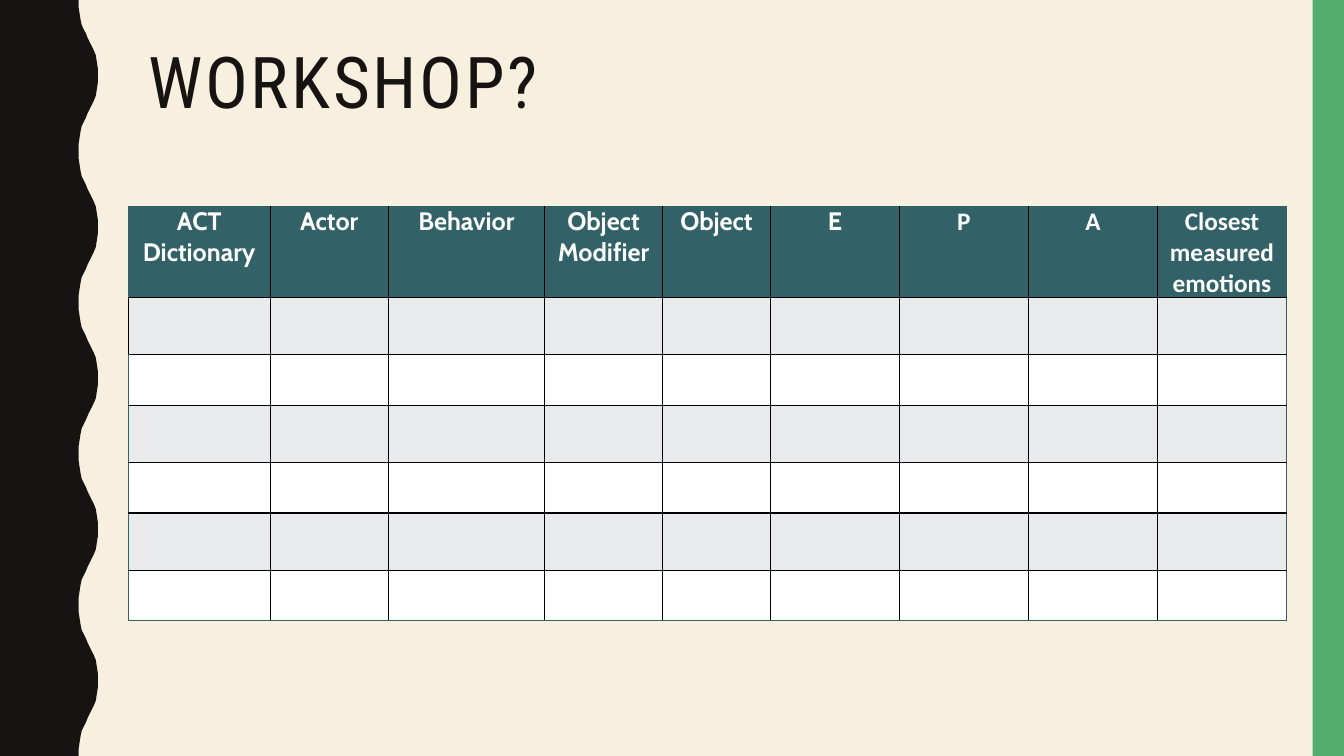
from lxml import etree
from pptx import Presentation
from pptx.dml.color import RGBColor
from pptx.enum.shapes import MSO_SHAPE
from pptx.enum.text import MSO_ANCHOR, PP_ALIGN
from pptx.oxml.ns import qn
from pptx.util import Inches, Pt

RECT = MSO_SHAPE.RECTANGLE
TOP = MSO_ANCHOR.TOP
LEFT, CENTER = PP_ALIGN.LEFT, PP_ALIGN.CENTER

INK, CREAM, GREEN = "171312", "F7F0DF", "53AE6E"
TEAL, GRAY, WHITE, BLACK = "326267", "E8EAEB", "FFFFFF", "000000"

HEADS = ["ACT Dictionary", "Actor", "Behavior", "Object Modifier", "Object",
         "E", "P", "A", "Closest measured emotions"]
FONTS = ["Cabin"] * 6 + ["Calibri"] * 3
COLS = [10.58, 8.78, 11.63, 8.78, 8.03] + [9.6] * 4
ROWS = [11.33] + [7.6, 6.67] * 3

WAVE_X = [5.85, 5.85, 5.93, 6, 6.08, 6.23, 6.38, 6.53,
          6.68, 6.83, 6.98, 7.13, 7.2, 7.28, 7.28]
WAVE_Y = [0, 0.93, 1.87, 2.67, 3.33, 3.87, 4.4, 5.07,
          5.6, 6.13, 6.67, 7.33, 8.13, 9.07, 10]


def color(code):
    return RGBColor.from_string(code)


def paint(fill, code):
    fill.solid()
    fill.fore_color.rgb = color(code)


def write(frame, text, font="Cabin", size=18, ink=INK, bold=False,
          align=LEFT, lead=1.0, track=0):
    par = frame.paragraphs[0]
    par.alignment = align
    par.line_spacing = lead
    run = par.add_run()
    run.text = text
    run.font.name = font
    run.font.size = Pt(size)
    run.font.bold = bold
    run.font.color.rgb = color(ink)
    if track:
        run.font._element.set("spc", str(track * 100))


def edge(cell, codes):
    props = cell._tc.get_or_add_tcPr()
    for spot, (side, code) in enumerate(zip("LRTB", codes)):
        line = etree.Element(qn("a:ln" + side), w=str(Pt(1)))
        fill = etree.SubElement(line, qn("a:solidFill"))
        etree.SubElement(fill, qn("a:srgbClr"), val=code)
        props.insert(spot, line)


class Deck:
    def __init__(self, wide, high, back):
        self.show = Presentation()
        self.show.slide_width = self.wide = Inches(wide)
        self.show.slide_height = self.high = Inches(high)
        self.slide = self.show.slides.add_slide(self.show.slide_layouts[6])
        self.shapes = self.slide.shapes
        paint(self.slide.background.fill, back)

    def x(self, share):
        return round(self.wide * share / 100)

    def y(self, share):
        return round(self.high * share / 100)

    def box(self, left, top, wide, high):
        return self.x(left), self.y(top), self.x(wide), self.y(high)

    def plain(self, shape, fill):
        shape.shadow.inherit = False
        paint(shape.fill, fill)
        shape.line.fill.background()

    def rect(self, area, fill):
        self.plain(self.shapes.add_shape(RECT, *self.box(*area)), fill)

    def wave(self, fill, turns):
        half = list(zip(WAVE_X, WAVE_Y))
        span = 2 * WAVE_Y[-1]
        full = half + [(x, span - y) for x, y in half[-2::-1]]
        rim = [(x, y + turn * span) for turn in range(turns) for x, y in full]
        dots = [(self.x(x), self.y(y)) for x, y in rim + [(0, 100)]]
        pen = self.shapes.build_freeform(0, 0, scale=1.0)
        pen.add_line_segments(dots, close=True)
        self.plain(pen.convert_to_shape(), fill)

    def text(self, area, words, **style):
        frame = self.shapes.add_textbox(*self.box(*area)).text_frame
        frame.word_wrap = True
        frame.vertical_anchor = TOP
        write(frame, words, **style)

    def table(self, left, top, cols, rows):
        area = self.box(left, top, sum(cols), sum(rows))
        grid = self.shapes.add_table(len(rows), len(cols), *area).table
        grid.first_row = grid.horz_banding = False
        for col, share in zip(grid.columns, cols):
            col.width = self.x(share)
        for row, share in zip(grid.rows, rows):
            row.height = self.y(share)
        end, last = len(cols) - 1, len(rows) - 1
        for r in range(len(rows)):
            for c in range(len(cols)):
                cell = grid.cell(r, c)
                paint(cell.fill, TEAL if r == 0 else GRAY if r % 2 else WHITE)
                rims = (c == 0 and r != 1, c == end, r == 0, r == last)
                edge(cell, [TEAL if rim else BLACK for rim in rims])
        return grid

    def heads(self, grid, words, fonts):
        for cell, word, font in zip(grid.rows[0].cells, words, fonts):
            cell.margin_left = cell.margin_right = Inches(0.07)
            cell.margin_top = cell.margin_bottom = 0
            write(cell.text_frame, word, font=font, ink=WHITE, bold=True,
                  align=CENTER)


def main():
    deck = Deck(13.33, 7.5, CREAM)
    deck.wave(INK, turns=5)
    deck.rect((97.67, 0, 2.33, 100), GREEN)
    deck.text((10.28, 5.6, 83.5, 21.73), "WORKSHOP?",
              font="Roboto Condensed", size=51, lead=0.9, track=2)
    grid = deck.table(9.53, 27.33, COLS, ROWS)
    deck.heads(grid, HEADS, FONTS)
    deck.show.save("out.pptx")


if __name__ == "__main__":
    main()
